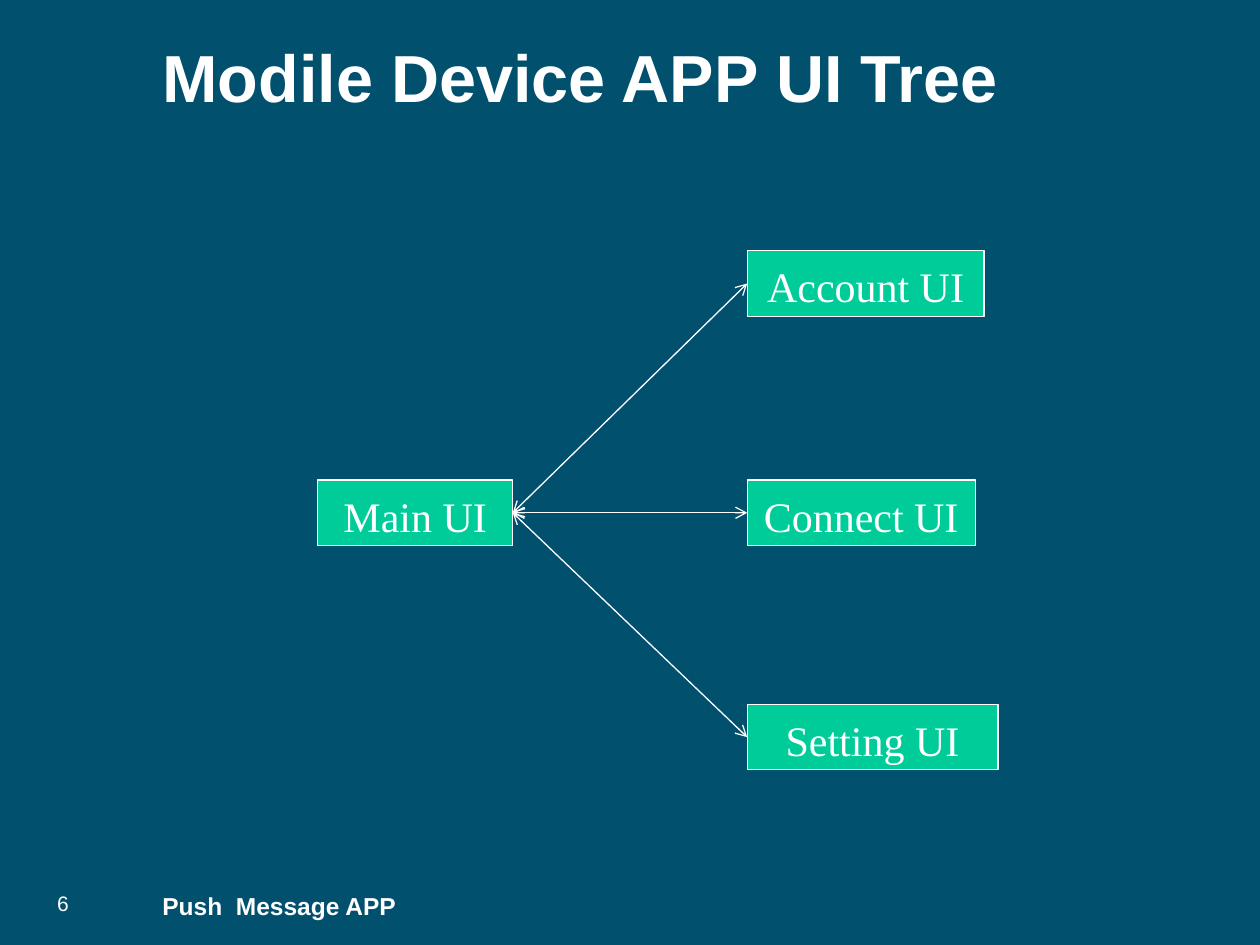
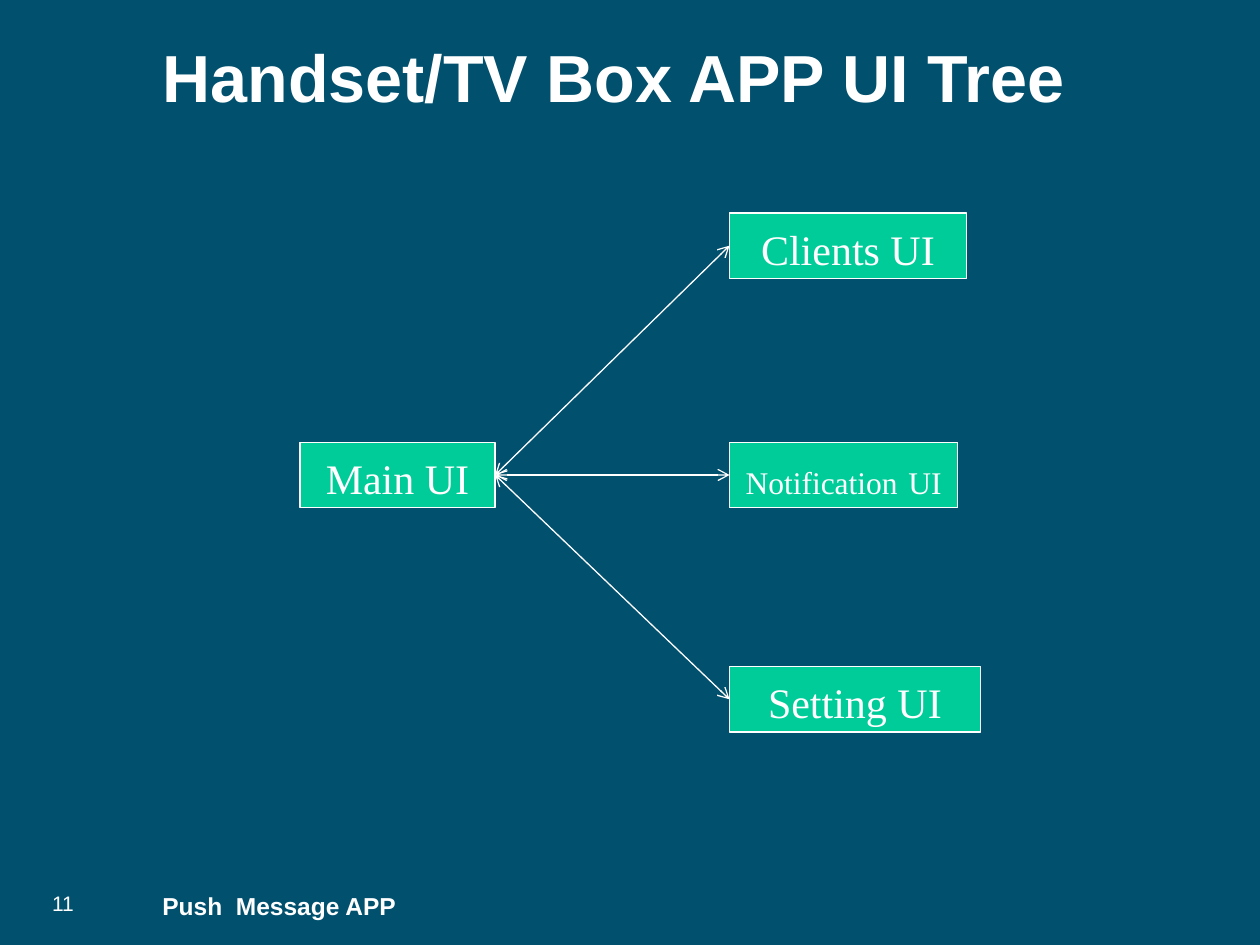
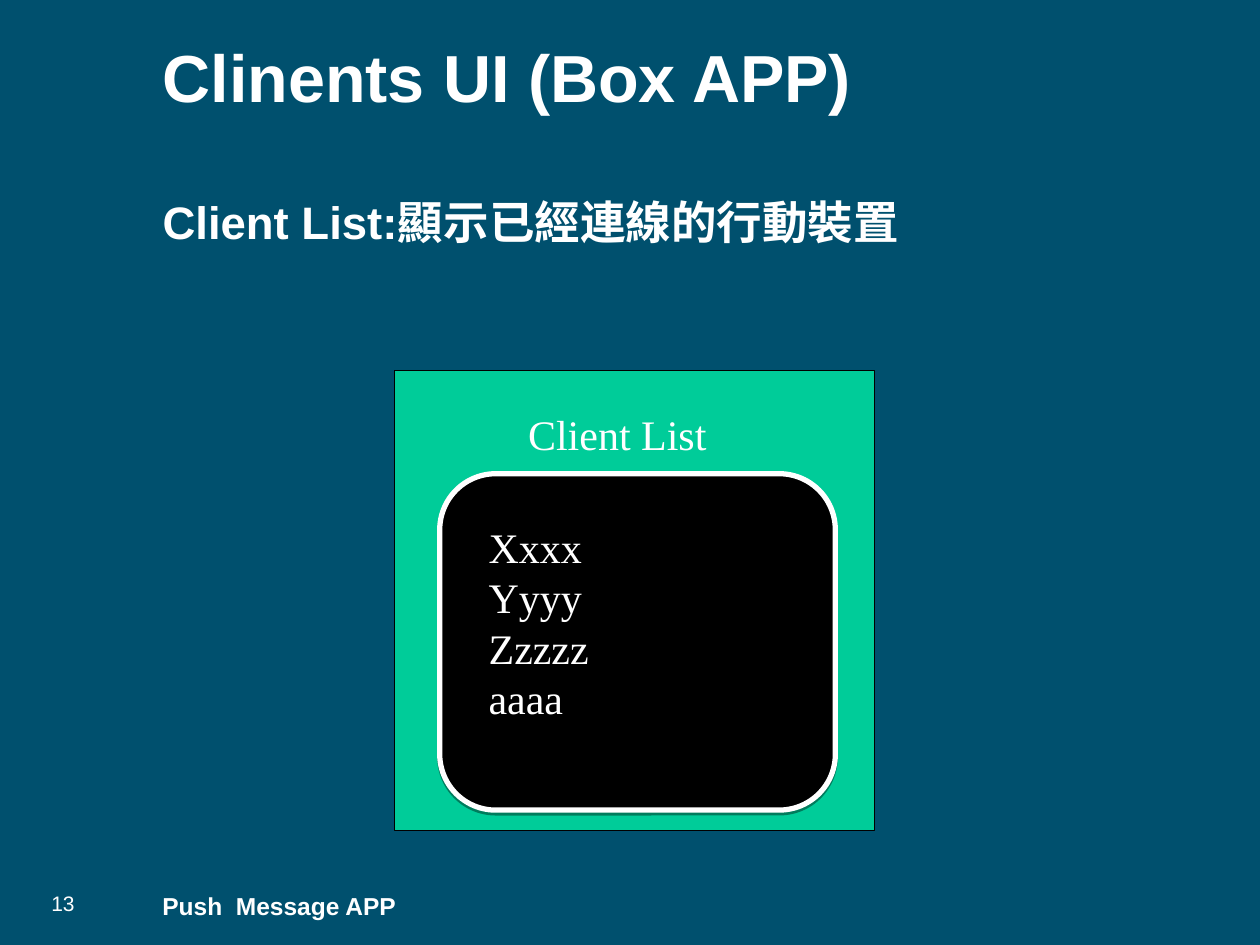
import pptx
import pptx.dml.color
import pptx.enum.shapes
import pptx.enum.text
import pptx.oxml
import pptx.oxml.ns
import pptx.util
from pptx.util import Inches, Pt

COLORS = {
    "background": "00506E",
    "box": "00CC99",
    "text": "FFFFFF",
    "screen": "000000",
}
HEADING_FONT = "Arial"
DIAGRAM_FONT = "Times New Roman"
FOOTER = "Push  Message APP"
TITLE_ONLY, TITLE_AND_CONTENT = 5, 1
LEFT_MARGIN = 1.19
BOX_HEIGHT = 0.52
BRANCH_DISTANCE = 3.41
# Vertical offset from the main box and width of each branch box
BRANCHES = [(-1.82, 1.88), (0, 1.81), (1.78, 1.99)]

ALIGN = pptx.enum.text.PP_ALIGN
ANCHOR = pptx.enum.text.MSO_ANCHOR
SHAPE = pptx.enum.shapes.MSO_SHAPE
qn = pptx.oxml.ns.qn


def color(name):
    return pptx.dml.color.RGBColor.from_string(COLORS[name])


def drawing_element(xml):
    """Parse one element of the DrawingML namespace, given without its declaration."""
    tag, rest = xml.split(" ", 1)
    return pptx.oxml.parse_xml(f"{tag} {pptx.oxml.ns.nsdecls('a')} {rest}")


def place(shape, left, top, width, height):
    shape.left, shape.top = Inches(left), Inches(top)
    shape.width, shape.height = Inches(width), Inches(height)


def format_runs(paragraph, size, font_name, bold=False):
    for run in paragraph.runs:
        run.font.size = Pt(size)
        run.font.name = font_name
        run.font.bold = bold
        run.font.color.rgb = color("text")


def set_text(shape, text, size, font_name, bold=False, align=ALIGN.LEFT, anchor=ANCHOR.TOP):
    frame = shape.text_frame
    frame.text = text
    frame.word_wrap = True
    frame.auto_size = pptx.enum.text.MSO_AUTO_SIZE.NONE
    frame.vertical_anchor = anchor
    for paragraph in frame.paragraphs:
        paragraph.alignment = align
        format_runs(paragraph, size, font_name, bold)


def set_diagram_text(shape, text, align=ALIGN.CENTER):
    set_text(shape, text, 24, DIAGRAM_FONT, align=align)
    shape.text_frame.margin_top = Inches(0.08)
    for paragraph in shape.text_frame.paragraphs:
        paragraph.line_spacing = Pt(28.8)


def add_text(slide, position, text, size, bold=False, align=ALIGN.LEFT):
    box = slide.shapes.add_textbox(*map(Inches, position))
    set_text(box, text, size, HEADING_FONT, bold, align)


def add_diagram_text(slide, position, text, align):
    box = slide.shapes.add_textbox(*map(Inches, position))
    set_diagram_text(box, text, align)


def add_panel(slide, kind, position, fill, line, line_width=0.75):
    panel = slide.shapes.add_shape(kind, *map(Inches, position))
    panel.shadow.inherit = False
    panel.fill.solid()
    panel.fill.fore_color.rgb = color(fill)
    panel.line.color.rgb = color(line)
    panel.line.width = Pt(line_width)
    return panel


def add_node(slide, left, top, width, label):
    node = add_panel(slide, SHAPE.RECTANGLE, (left, top, width, BOX_HEIGHT), "box", "text")
    set_diagram_text(node, label)
    return node


def add_double_arrow(slide, start, end):
    """Join the right side of start to the left side of end."""
    arrow = slide.shapes.add_connector(pptx.enum.shapes.MSO_CONNECTOR.STRAIGHT, 0, 0, 0, 0)
    arrow.begin_connect(start, 3)
    arrow.end_connect(end, 1)
    arrow.line.color.rgb = color("text")
    arrow.line.width = Pt(0.75)
    properties = arrow._element.spPr
    for tag in ("headEnd", "tailEnd"):
        properties.find(qn("a:ln")).append(drawing_element(f'<a:{tag} type="arrow"/>'))
    properties.append(drawing_element("<a:effectLst />"))


def add_tree(slide, left, top, labels):
    """Draw the main box with its branches and return the branch boxes."""
    main_box = add_node(slide, left, top, 1.55, "Main UI")
    branches = []
    for (offset, width), label in zip(BRANCHES, labels):
        branch = add_node(slide, left + BRANCH_DISTANCE, top + offset, width, label)
        add_double_arrow(slide, main_box, branch)
        branches.append(branch)
    return branches


def shrink_words(shape, size):
    """Make the words smaller while the space between them keeps its size."""
    paragraph = shape.text_frame.paragraphs[0]
    first, last = paragraph.text.split(" ")
    paragraph.text = first
    for piece in (" ", last):
        paragraph.add_run().text = piece
    format_runs(paragraph, size, DIAGRAM_FONT)
    paragraph.runs[1].font.size = Pt(24)


def add_slide(presentation, layout, title, number):
    slide = presentation.slides.add_slide(presentation.slide_layouts[layout])
    heading = slide.shapes.title
    place(heading, LEFT_MARGIN, 0.31, 8.81, 0.49)
    set_text(heading, title, 38, HEADING_FONT, bold=True, anchor=ANCHOR.MIDDLE)
    heading.text_frame.margin_top = Inches(0.1)
    heading.text_frame.margin_bottom = 0
    add_text(slide, (LEFT_MARGIN, 7.02, 5.74, 0.21), FOOTER, 14, bold=True)
    add_text(slide, (0.22, 7.02, 0.56, 0.23), str(number), 12, align=ALIGN.CENTER)
    return slide


def fill_body(slide, text):
    body = slide.placeholders[1]
    place(body, LEFT_MARGIN, 1.49, 8.81, 0.74)
    set_text(body, text, 26, HEADING_FONT, bold=True)
    paragraph = body.text_frame.paragraphs[0]
    paragraph.space_before = Pt(0)
    properties = paragraph._p.get_or_add_pPr()
    properties.set("marL", str(Inches(0.63)))
    properties.set("indent", str(Inches(-0.63)))
    properties.append(drawing_element("<a:buNone />"))


def add_client_screen(slide):
    add_panel(slide, SHAPE.RECTANGLE, (3.13, 2.94, 3.81, 3.65), "box", "screen")
    screen = add_panel(slide, SHAPE.ROUNDED_RECTANGLE, (3.49, 3.76, 3.14, 2.67),
                       "screen", "text", 3)
    screen._element.spPr.find(qn("a:effectLst")).append(drawing_element(
        f'<a:outerShdw blurRad="0" dist="{Pt(1.6)}" dir="5400000" rotWithShape="0">'
        f'<a:srgbClr val="{COLORS["screen"]}"><a:alpha val="38000"/></a:srgbClr>'
        "</a:outerShdw>"))
    add_diagram_text(slide, (3.5, 3.16, 2.8, 0.5), "Client List", ALIGN.CENTER)
    add_diagram_text(slide, (3.78, 4.06, 2.56, 2.1), "Xxxx\nYyyy\nZzzzz\naaaa", ALIGN.LEFT)


def main():
    presentation = pptx.Presentation()
    presentation.slide_width, presentation.slide_height = Inches(10), Inches(7.5)
    background = presentation.slide_master.background.fill
    background.solid()
    background.fore_color.rgb = color("background")

    slide = add_slide(presentation, TITLE_ONLY, "Modile Device APP UI Tree", 6)
    add_tree(slide, 2.52, 3.81, ["Account UI", "Connect UI", "Setting UI"])

    slide = add_slide(presentation, TITLE_ONLY, "Handset/TV Box APP UI Tree", 11)
    branches = add_tree(slide, 2.38, 3.51, ["Clients UI", "Notification UI", "Setting UI"])
    shrink_words(branches[1], 18)

    slide = add_slide(presentation, TITLE_AND_CONTENT, "Clinents UI (Box APP)", 13)
    fill_body(slide, "Client List:顯示已經連線的行動裝置")
    add_client_screen(slide)

    presentation.save("out.pptx")


if __name__ == "__main__":
    main()
